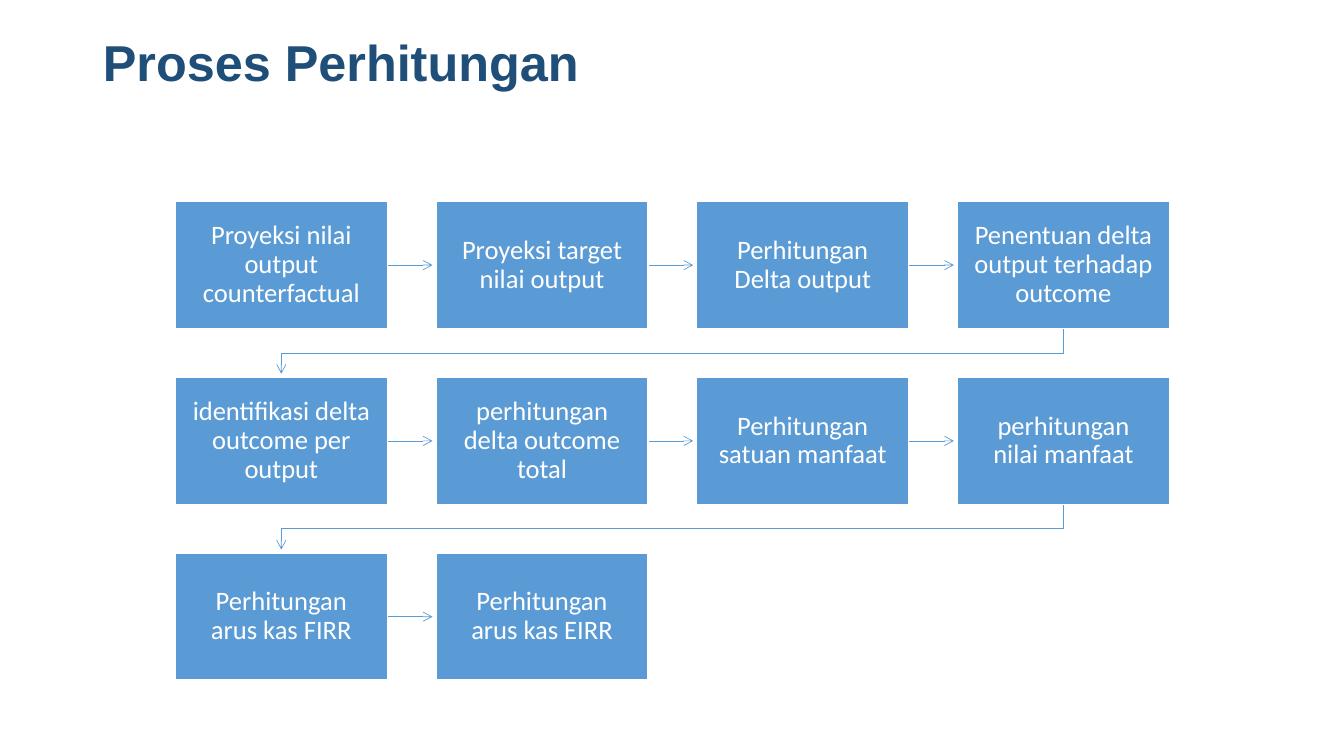
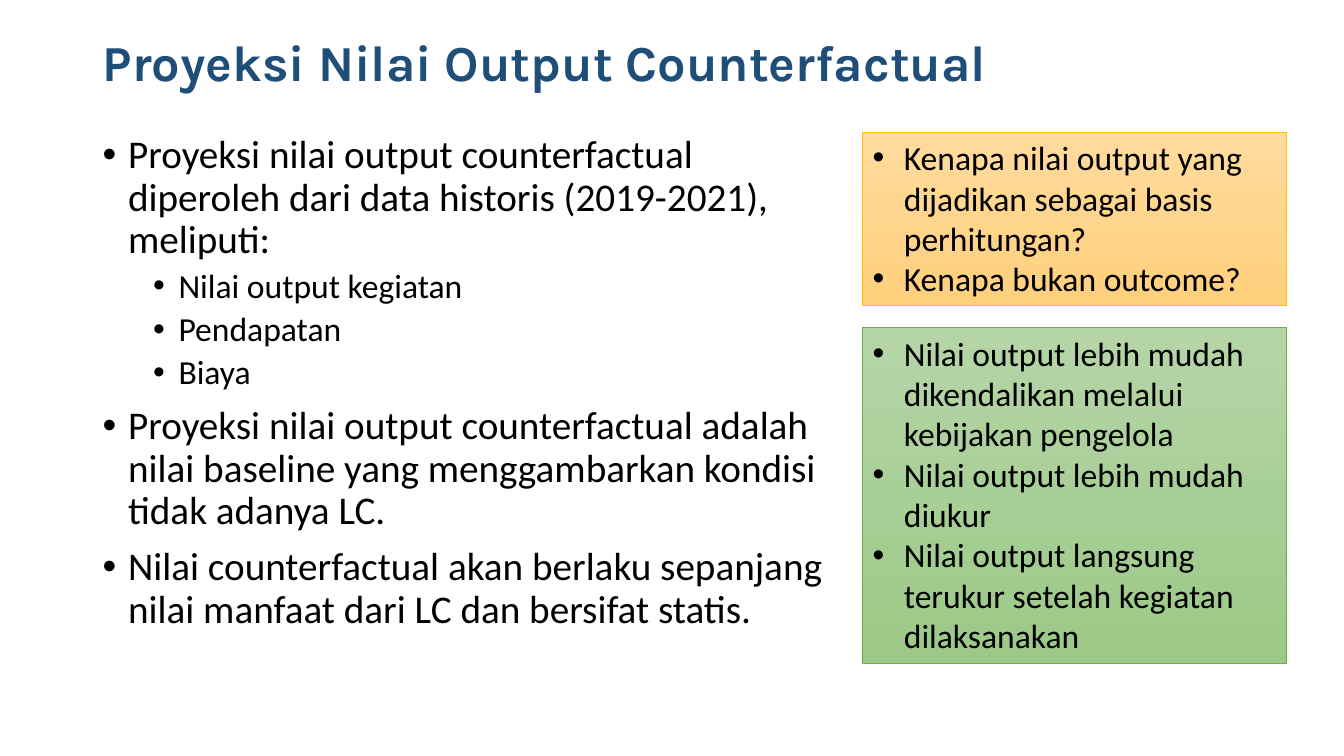
from lxml import etree
from pptx import Presentation
from pptx.dml.color import RGBColor as Rgb
from pptx.enum.shapes import MSO_CONNECTOR as Link, MSO_SHAPE as Form
from pptx.enum.text import MSO_ANCHOR as Anchor, MSO_AUTO_SIZE as Fit, PP_ALIGN as Align
from pptx.oxml.ns import qn
from pptx.util import Cm, Pt

COLORS = {
    "title": "1F4E79", "box": "5B9BD5", "white": "FFFFFF", "text": "000000",
    "gold": "FFC000", "gold top": "FFDB9E", "gold end": "FFD07C",
    "green": "70AD47", "green top": "B5D5A7", "green end": "9CC987",
}
BODY = [  # level: size, left margin, space before
    {"size": 28, "left": 0.64, "before": 10},
    {"size": 24, "left": 1.91, "before": 5},
]
STEPS = [
    ["Proyeksi nilai output counterfactual", "Proyeksi target nilai output",
     "Perhitungan Delta output", "Penentuan delta output terhadap outcome"],
    ["identifikasi delta outcome per output", "perhitungan delta outcome total",
     "Perhitungan satuan manfaat", "perhitungan nilai manfaat"],
    ["Perhitungan arus kas FIRR", "Perhitungan arus kas EIRR"],
]
POINTS = [
    (0, "Proyeksi nilai output counterfactual diperoleh dari data historis (2019-2021), meliputi:"),
    (1, "Nilai output kegiatan"),
    (1, "Pendapatan"),
    (1, "Biaya"),
    (0, "Proyeksi nilai output counterfactual adalah nilai baseline yang menggambarkan kondisi tidak adanya LC."),
    (0, "Nilai counterfactual akan berlaku sepanjang nilai manfaat dari LC dan bersifat statis."),
]
ASKS = ["Kenapa nilai output yang dijadikan sebagai basis perhitungan?",
        "Kenapa bukan outcome?"]
REASONS = ["Nilai output lebih mudah dikendalikan melalui kebijakan pengelola",
           "Nilai output lebih mudah diukur",
           "Nilai output langsung terukur setelah kegiatan dilaksanakan"]


def color(name):
    return Rgb.from_string(COLORS[name])


def assign(item, **values):
    for name, value in values.items():
        setattr(item, name, value)


class Deck:
    def __init__(self):
        self.show = Presentation()
        assign(self.show, slide_width=Cm(33.87), slide_height=Cm(19.05))
        self.slide = None

    def font(self, para, size, tint, face="Calibri", bold=False):
        assign(para.font, size=Pt(size), name=face, bold=bold)
        para.font.color.rgb = color(tint)

    def page(self, title, face):
        """Start a slide and set its title."""
        self.slide = self.show.slides.add_slide(self.show.slide_layouts[5])
        head = self.slide.shapes.title
        assign(head, left=Cm(2.34), top=Cm(0.53), width=Cm(29.21), height=Cm(2.21))
        assign(head.text_frame, text=title, word_wrap=True, auto_size=Fit.NONE,
               vertical_anchor=Anchor.MIDDLE)
        para = head.text_frame.paragraphs[0]
        assign(para, alignment=Align.LEFT, line_spacing=0.9)
        self.font(para, 36, "title", face, True)

    def rect(self, x, y, w, h, edge, width):
        shape = self.slide.shapes.add_shape(Form.RECTANGLE, Cm(x), Cm(y), Cm(w), Cm(h))
        shape.shadow.inherit = False
        shape.line.color.rgb = color(edge)
        shape.line.width = Pt(width)
        shape.text_frame.word_wrap = True
        return shape

    def box(self, x, y, w, h, text):
        shape = self.rect(x, y, w, h, "white", 1)
        shape.fill.solid()
        shape.fill.fore_color.rgb = color("box")
        pad = Cm(0.38)
        assign(shape.text_frame, text=text, vertical_anchor=Anchor.MIDDLE,
               margin_left=pad, margin_right=pad, margin_top=pad, margin_bottom=pad)
        para = shape.text_frame.paragraphs[0]
        assign(para, alignment=Align.CENTER, line_spacing=0.9)
        self.font(para, 19, "white")

    def tip(self, line):
        """Give a line its colour, width and open arrowhead."""
        line.line.color.rgb = color("box")
        line.line.width = Pt(0.5)
        edge = line.line._get_or_add_ln()
        etree.SubElement(edge, qn("a:tailEnd"), type="arrow")

    def arrow(self, x, y, length):
        line = self.slide.shapes.add_connector(
            Link.STRAIGHT, Cm(x), Cm(y), Cm(x + length), Cm(y))
        self.tip(line)
        etree.SubElement(line._element.spPr, qn("a:effectLst"))

    def bend(self, *points):
        """Draw an arrow with corners through the points."""
        first, *rest = [(Cm(x), Cm(y)) for x, y in points]
        build = self.slide.shapes.build_freeform(*first)
        build.add_line_segments(rest, close=False)
        line = build.convert_to_shape()
        line.fill.background()
        line.shadow.inherit = False
        self.tip(line)

    def bullet(self, para, text, size, left, hang):
        para.text = text
        para.alignment = Align.LEFT
        self.font(para, size, "text")
        props = para._p.get_or_add_pPr()
        props.set("marL", str(Cm(left)))
        props.set("indent", str(-Cm(hang)))
        mark = etree.Element(qn("a:buChar"), char="•")
        face = etree.Element(qn("a:buFont"), typeface="Arial")
        # Bullet tags must come before the default run style
        for tag in (face, mark):
            props.insert_element_before(tag, "a:tabLst", "a:defRPr", "a:extLst")

    def rows(self, frame, items):
        """Pair each item with a paragraph of the frame."""
        for i, item in enumerate(items):
            yield (frame.add_paragraph() if i else frame.paragraphs[0]), item

    def body(self, x, y, w, h, points):
        frame = self.slide.shapes.add_textbox(Cm(x), Cm(y), Cm(w), Cm(h)).text_frame
        frame.word_wrap = True
        for para, (level, text) in self.rows(frame, points):
            style = BODY[level]
            assign(para, level=level, line_spacing=0.9, space_before=Pt(style["before"]))
            self.bullet(para, text, style["size"], style["left"], 0.64)

    def note(self, x, y, w, h, tint, lines):
        shape = self.rect(x, y, w, h, tint, 0.5)
        shape.fill.gradient()
        shape.fill.gradient_angle = 270
        for stop, end in zip(shape.fill.gradient_stops, ("top", "end")):
            stop.color.rgb = color(f"{tint} {end}")
        shape.text_frame.vertical_anchor = Anchor.TOP
        for para, text in self.rows(shape.text_frame, lines):
            self.bullet(para, text, 24, 0.79, 0.79)


def flow(deck):
    left, top, wide, high = 4.42, 5.08, 5.34, 3.2
    across, down, reach = 6.57, 4.43, 1.14
    for r, row in enumerate(STEPS):
        y = top + r * down
        for c, text in enumerate(row):
            x = left + c * across
            if c < len(row) - 1:
                deck.arrow(x + wide, y + high / 2, reach)
            elif r < len(STEPS) - 1:
                start, end, base = x + wide / 2, left + wide / 2, y + high
                turn = base + (down - high) / 2
                deck.bend((start, base), (start, turn), (end, turn), (end, base + reach))
            deck.box(x, y, wide, high, text)


def main():
    deck = Deck()
    deck.page("Proses Perhitungan", "Arial")
    flow(deck)
    deck.page("Proyeksi Nilai Output Counterfactual", "Karla")
    deck.body(2.34, 3.28, 18.9, 13.89, POINTS)
    deck.note(21.74, 3.33, 10.67, 4.37, "gold", ASKS)
    deck.note(21.74, 8.26, 10.67, 8.46, "green", REASONS)
    deck.show.save("out.pptx")


if __name__ == "__main__":
    main()
